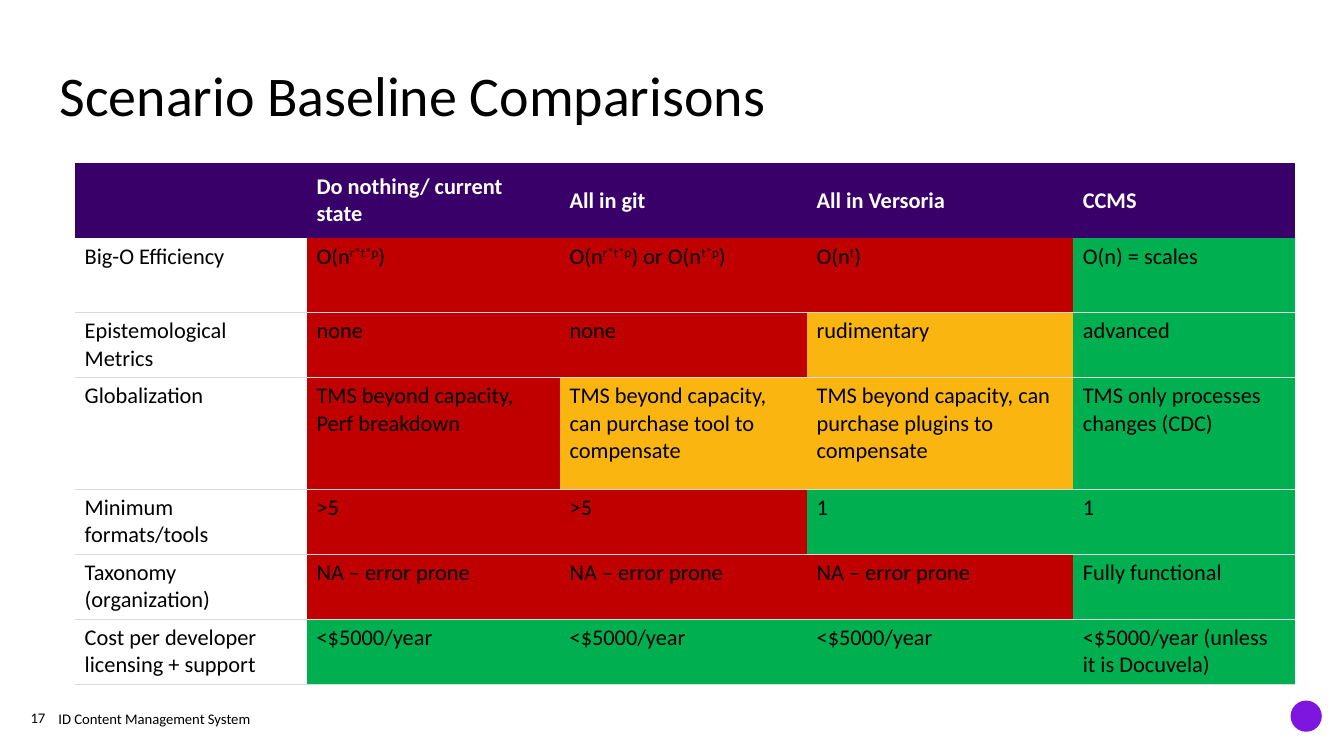
from dataclasses import dataclass
from typing import Optional

import pptx
import pptx.dml.color
import pptx.enum.shapes
import pptx.enum.text
import pptx.oxml
import pptx.oxml.ns
import pptx.util

Inches = pptx.util.Inches
Pt = pptx.util.Pt
RGBColor = pptx.dml.color.RGBColor
Align = pptx.enum.text.PP_ALIGN
Anchor = pptx.enum.text.MSO_ANCHOR

FONT = "Calibri"
BLACK = RGBColor(0x00, 0x00, 0x00)
WHITE = RGBColor(0xFF, 0xFF, 0xFF)
HEADER = RGBColor(0x39, 0x00, 0x6A)
POOR = RGBColor(0xC0, 0x00, 0x00)
FAIR = RGBColor(0xFA, 0xB5, 0x11)
GOOD = RGBColor(0x00, 0xB0, 0x50)
ACCENT = RGBColor(0x7F, 0x16, 0xE0)
RULE = RGBColor(0xD9, 0xD9, 0xD9)
NO_STYLE = "{2D5ABB26-0587-4C30-8999-92F81FD0307C}"


@dataclass
class Label:
    text: str
    left: float
    top: float
    width: float
    height: float
    size: float
    align: Align = Align.LEFT
    spacing: float = 1.0


@dataclass
class Criterion:
    name: str
    height: float
    values: list[str]  # carets enclose superscripts
    ratings: list[RGBColor]


LABELS = [
    Label("Scenario Baseline Comparisons", 0.59, 0.68, 11.69, 0.7, 40, spacing=0.9),
    Label("ID Content Management System", 0.58, 7.04, 4.5, 0.26, 10.5),
    Label("17", 0, 7.05, 0.45, 0.3, 10.5, Align.RIGHT, 0.9),
]
COLUMN_WIDTHS = [2.3, 2.51, 2.45, 2.64, 2.2]
HEADER_HEIGHT = 0.74
HEADINGS = ["", "Do nothing/ current state", "All in git", "All in Versoria", "CCMS"]
CRITERIA = [
    Criterion("Big-O Efficiency", 0.74,
              ["O(n^r*t*p^)", "O(n^r*t*p^) or O(n^t*p^)", "O(n^t^)", "O(n) = scales"],
              [POOR, POOR, POOR, GOOD]),
    Criterion("Epistemological Metrics", 0.63,
              ["none", "none", "rudimentary", "advanced"],
              [POOR, POOR, FAIR, GOOD]),
    Criterion("Globalization", 1.11,
              ["TMS beyond capacity, Perf breakdown",
               "TMS beyond capacity, can purchase tool to compensate",
               "TMS beyond capacity, can purchase plugins to compensate",
               "TMS only processes changes (CDC)"],
              [POOR, FAIR, FAIR, GOOD]),
    Criterion("Minimum formats/tools", 0.63,
              [">5", ">5", "1", "1"],
              [POOR, POOR, GOOD, GOOD]),
    Criterion("Taxonomy (organization)", 0.63,
              ["NA – error prone"] * 3 + ["Fully functional"],
              [POOR, POOR, POOR, GOOD]),
    Criterion("Cost per developer licensing + support", 0.63,
              ["<$5000/year"] * 3 + ["<$5000/year (unless it is Docuvela)"],
              [GOOD] * 4),
]


def set_font(paragraph, size: float, color: RGBColor, bold: bool = False) -> None:
    paragraph.font.name = FONT
    paragraph.font.size = Pt(size)
    paragraph.font.bold = bold
    paragraph.font.color.rgb = color


def add_label(slide, label: Label) -> None:
    box = slide.shapes.add_textbox(Inches(label.left), Inches(label.top),
                                   Inches(label.width), Inches(label.height))
    frame = box.text_frame
    frame.word_wrap = True
    frame.margin_left = frame.margin_right = frame.margin_top = frame.margin_bottom = 0
    paragraph = frame.paragraphs[0]
    paragraph.text = label.text
    paragraph.alignment = label.align
    paragraph.line_spacing = label.spacing
    set_font(paragraph, label.size, BLACK)


def fill_cell(cell, text: str, fill: Optional[RGBColor], color: RGBColor,
              bold: bool = False) -> None:
    paragraph = cell.text_frame.paragraphs[0]
    for index, piece in enumerate(text.split("^")):
        if piece:
            run = paragraph.add_run()
            run.text = piece
            if index % 2:
                run.font._element.set("baseline", "30000")
    set_font(paragraph, 16, color, bold)
    if fill is None:
        cell.fill.background()
    else:
        cell.fill.solid()
        cell.fill.fore_color.rgb = fill


def add_rules(cell, sides: list[str]) -> None:
    properties = cell._tc.get_or_add_tcPr()
    for index, side in enumerate(sides):
        properties.insert(index, pptx.oxml.parse_xml(
            f'<a:{side} {pptx.oxml.ns.nsdecls("a")} w="{Pt(0.5)}"><a:solidFill>'
            f'<a:srgbClr val="{RULE}"/></a:solidFill></a:{side}>'))


def add_comparison(slide) -> None:
    heights = [HEADER_HEIGHT] + [criterion.height for criterion in CRITERIA]
    table = slide.shapes.add_table(
        len(heights), len(COLUMN_WIDTHS), Inches(0.74), Inches(1.62),
        Inches(sum(COLUMN_WIDTHS)), Inches(sum(heights))).table
    table.horz_banding = False
    table._tbl.tblPr.find(pptx.oxml.ns.qn("a:tableStyleId")).text = NO_STYLE
    for column, width in zip(table.columns, COLUMN_WIDTHS):
        column.width = Inches(width)
    for row, height in zip(table.rows, heights):
        row.height = Inches(height)

    # Header row
    for column, heading in enumerate(HEADINGS):
        cell = table.cell(0, column)
        fill_cell(cell, heading, HEADER, WHITE, bold=True)
        cell.vertical_anchor = Anchor.MIDDLE

    # Rated rows
    for row, criterion in enumerate(CRITERIA, start=1):
        texts = [criterion.name] + criterion.values
        fills = [None] + criterion.ratings
        for column, (text, fill) in enumerate(zip(texts, fills)):
            cell = table.cell(row, column)
            fill_cell(cell, text, fill, BLACK)
            add_rules(cell, ["lnB"] if row == 1 else ["lnT", "lnB"])


def add_brand_mark(slide) -> None:
    shape = slide.shapes.add_shape(pptx.enum.shapes.MSO_SHAPE.OVAL, Inches(12.8),
                                   Inches(6.95), Inches(0.31), Inches(0.31))
    shape.shadow.inherit = False
    shape.fill.solid()
    shape.fill.fore_color.rgb = ACCENT
    shape.line.fill.background()


def main() -> None:
    presentation = pptx.Presentation()
    presentation.slide_width = Inches(13.33)
    presentation.slide_height = Inches(7.5)
    slide = presentation.slides.add_slide(presentation.slide_layouts[6])
    add_brand_mark(slide)
    add_comparison(slide)
    for label in LABELS:
        add_label(slide, label)
    presentation.save("out.pptx")


if __name__ == "__main__":
    main()
